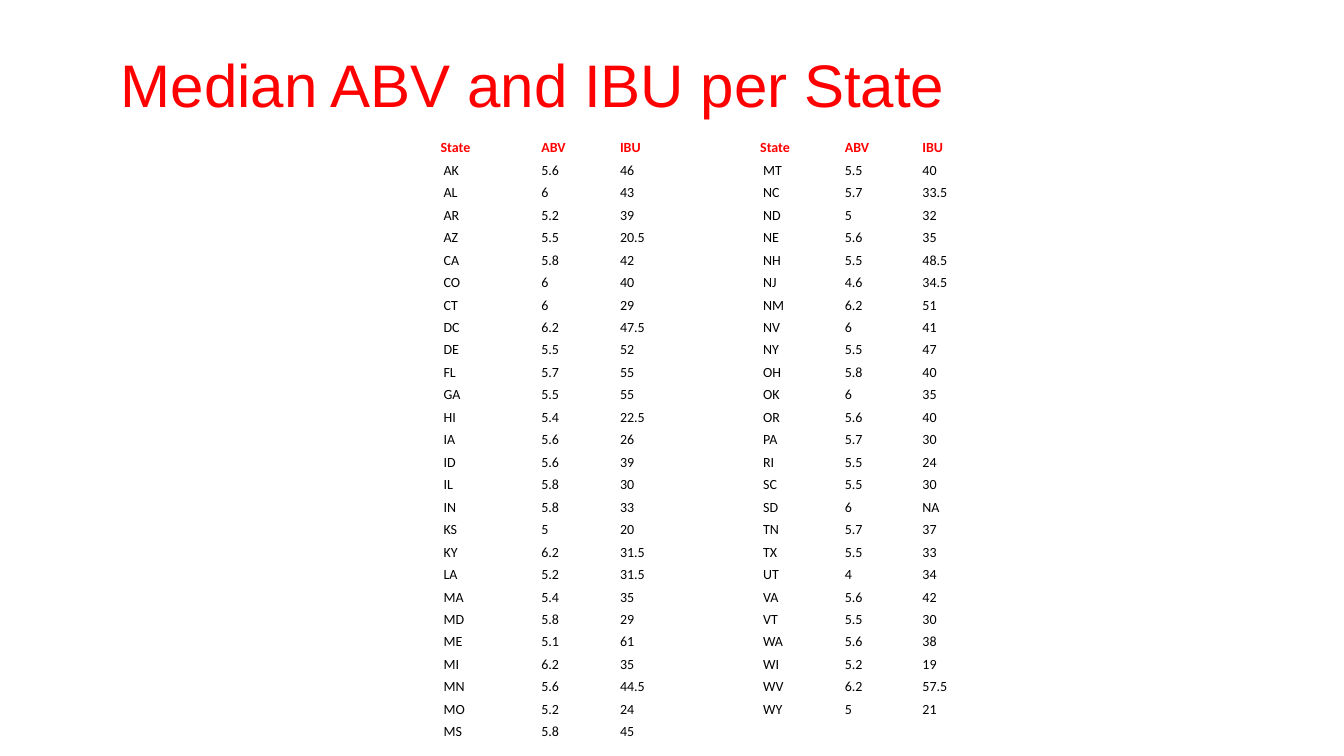
from itertools import zip_longest

from lxml import etree
from pptx import Presentation
from pptx.dml.color import RGBColor
from pptx.enum.text import MSO_ANCHOR
from pptx.oxml.ns import qn
from pptx.util import Inches, Pt

MIDDLE = MSO_ANCHOR.MIDDLE
BOTTOM = MSO_ANCHOR.BOTTOM

TITLE = "Median ABV and IBU per State"
HEADER = ("State", "ABV", "IBU")
LEFT_STATES = [
    ("AK", "5.6", "46"), ("AL", "6", "43"), ("AR", "5.2", "39"),
    ("AZ", "5.5", "20.5"), ("CA", "5.8", "42"), ("CO", "6", "40"),
    ("CT", "6", "29"), ("DC", "6.2", "47.5"), ("DE", "5.5", "52"),
    ("FL", "5.7", "55"), ("GA", "5.5", "55"), ("HI", "5.4", "22.5"),
    ("IA", "5.6", "26"), ("ID", "5.6", "39"), ("IL", "5.8", "30"),
    ("IN", "5.8", "33"), ("KS", "5", "20"), ("KY", "6.2", "31.5"),
    ("LA", "5.2", "31.5"), ("MA", "5.4", "35"), ("MD", "5.8", "29"),
    ("ME", "5.1", "61"), ("MI", "6.2", "35"), ("MN", "5.6", "44.5"),
    ("MO", "5.2", "24"), ("MS", "5.8", "45"),
]
RIGHT_STATES = [
    ("MT", "5.5", "40"), ("NC", "5.7", "33.5"), ("ND", "5", "32"),
    ("NE", "5.6", "35"), ("NH", "5.5", "48.5"), ("NJ", "4.6", "34.5"),
    ("NM", "6.2", "51"), ("NV", "6", "41"), ("NY", "5.5", "47"),
    ("OH", "5.8", "40"), ("OK", "6", "35"), ("OR", "5.6", "40"),
    ("PA", "5.7", "30"), ("RI", "5.5", "24"), ("SC", "5.5", "30"),
    ("SD", "6", "NA"), ("TN", "5.7", "37"), ("TX", "5.5", "33"),
    ("UT", "4", "34"), ("VA", "5.6", "42"), ("VT", "5.5", "30"),
    ("WA", "5.6", "38"), ("WI", "5.2", "19"), ("WV", "6.2", "57.5"),
    ("WY", "5", "21"),
]
COLUMN_WIDTHS = (1, 0.78, 1.39, 0.84, 0.77, 1.23)
TABLE_LEFT, TABLE_TOP, TABLE_HEIGHT = 4.36, 1.33, 6.02
CELL_MARGIN, STATE_INDENT = 0.01, 0.04

THEME = {
    "accent": RGBColor(0xFF, 0x00, 0x00),
    "body": RGBColor(0x00, 0x00, 0x00),
    "title_font": "Arial",
    "table_font": "Calibri",
    "title_size": 42.9,
    "table_size": 10,
}


def write_text(text_frame, text, *, font, size, color, bold=False, line_spacing=None):
    paragraph = text_frame.paragraphs[0]
    paragraph.line_spacing = line_spacing
    if not text:
        # An empty cell needs a small end mark, or its row grows.
        end_mark = etree.SubElement(paragraph._p, qn("a:endParaRPr"))
        end_mark.set("sz", str(size * 100))
        return
    run = paragraph.add_run()
    run.text = text
    run.font.name = font
    run.font.size = Pt(size)
    run.font.bold = bold
    run.font.color.rgb = color


def add_state_table(slide):
    blank = ("",) * len(HEADER)
    rows = [HEADER + HEADER]
    rows += [left + right for left, right
             in zip_longest(LEFT_STATES, RIGHT_STATES, fillvalue=blank)]
    table = slide.shapes.add_table(
        len(rows), len(COLUMN_WIDTHS), Inches(TABLE_LEFT), Inches(TABLE_TOP),
        Inches(sum(COLUMN_WIDTHS)), Inches(TABLE_HEIGHT)).table
    table.first_row = False
    table.horz_banding = False
    for column, width in zip(table.columns, COLUMN_WIDTHS):
        column.width = Inches(width)

    for row_index, values in enumerate(rows):
        table.rows[row_index].height = Inches(TABLE_HEIGHT / len(rows))
        is_header = row_index == 0
        for column_index, value in enumerate(values):
            is_state = column_index % len(HEADER) == 0 and not is_header
            cell = table.cell(row_index, column_index)
            cell.fill.background()
            cell.vertical_anchor = BOTTOM
            cell.margin_left = Inches(STATE_INDENT if is_state else CELL_MARGIN)
            cell.margin_top = cell.margin_right = Inches(CELL_MARGIN)
            cell.margin_bottom = 0
            write_text(cell.text_frame, value, font=THEME["table_font"],
                       size=THEME["table_size"], bold=is_header,
                       color=THEME["accent" if is_header else "body"])


def add_title(slide):
    title_box = slide.shapes.add_textbox(
        Inches(1.1), Inches(0.15), Inches(10.48), Inches(1.45))
    text_frame = title_box.text_frame
    text_frame.word_wrap = True
    text_frame.vertical_anchor = MIDDLE
    write_text(text_frame, TITLE, font=THEME["title_font"], size=THEME["title_size"],
               color=THEME["accent"], line_spacing=0.9)


def main():
    presentation = Presentation()
    presentation.slide_width = Inches(13.33)
    presentation.slide_height = Inches(7.5)
    slide = presentation.slides.add_slide(presentation.slide_layouts[6])
    add_state_table(slide)
    add_title(slide)
    presentation.save("out.pptx")


if __name__ == "__main__":
    main()
